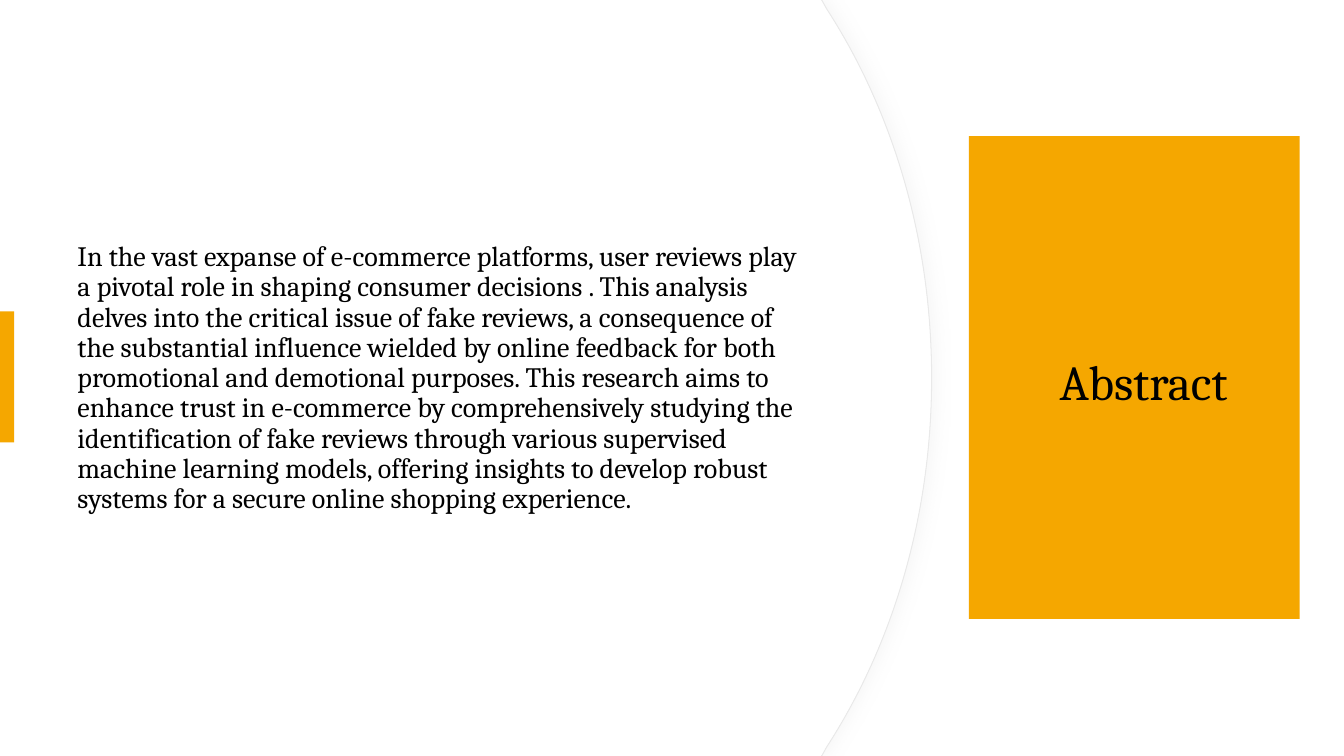
from lxml.etree import SubElement
from pptx import Presentation
from pptx.dml.color import RGBColor
from pptx.enum.shapes import MSO_SHAPE
from pptx.enum.text import MSO_ANCHOR, PP_ALIGN
from pptx.oxml.ns import qn
from pptx.util import Inches, Pt

AMBER = "F5A700"
ABSTRACT = (
    "In the vast expanse of e-commerce platforms, user reviews play a pivotal role "
    "in shaping consumer decisions . This analysis delves into the critical issue of "
    "fake reviews, a consequence of the substantial influence wielded by online "
    "feedback for both promotional and demotional purposes. This research aims to "
    "enhance trust in e-commerce by comprehensively studying the identification of "
    "fake reviews through various supervised machine learning models, offering "
    "insights to develop robust systems for a secure online shopping experience."
)


def color(value):
    return RGBColor.from_string(value)


def write(shape, text, size, spacing, left_inset=0.1):
    frame = shape.text_frame
    frame.word_wrap = True
    frame.vertical_anchor = MSO_ANCHOR.MIDDLE
    frame.margin_left = Inches(left_inset)
    paragraph = frame.paragraphs[0]
    paragraph.alignment = PP_ALIGN.LEFT
    paragraph.line_spacing = spacing
    run = paragraph.add_run()
    run.text = text
    run.font.name = "Cambria"
    run.font.size = Pt(size)
    run.font.color.rgb = color("000000")


def paint(shape, fill, line=None):
    shape.shadow.inherit = False
    shape.fill.solid()
    shape.fill.fore_color.rgb = color(fill)
    if line:
        shape.line.color.rgb = color(line)
        shape.line.width = Pt(0.75)
    else:
        shape.line.fill.background()


def add_block(slide, left, top, width, height):
    block = slide.shapes.add_shape(
        MSO_SHAPE.RECTANGLE, Inches(left), Inches(top), Inches(width), Inches(height)
    )
    paint(block, AMBER)
    return block


def bend(shape, starts):
    segments = list(shape._element.iter(qn("a:lnTo")))
    for start in starts:
        first, *others = segments[start:start + 3]
        first.tag = qn("a:cubicBezTo")
        for segment in others:
            first.append(segment[0])
            segment.getparent().remove(segment)


def add_curved_panel(slide, width, height, line=None):
    corner = width - 1.09
    upper = [(width - 1.04, 0.09), (width - 0.38, 1.11), (width, 2.38)]
    lower = [(x, height - y) for x, y in reversed(upper)]
    outline = [(corner, 0), *upper, (width, height / 2), *lower,
               (corner, height), (0, height)]
    builder = slide.shapes.build_freeform(0, 0)
    builder.add_line_segments([(Inches(x), Inches(y)) for x, y in outline], close=True)
    panel = builder.convert_to_shape()
    bend(panel, starts=(2, 5))
    paint(panel, "FFFFFF", line)
    return panel


def add_soft_shadow(shape):
    effects = shape._element.spPr.find(qn("a:effectLst"))
    shadow = SubElement(effects, qn("a:outerShdw"), blurRad=str(Pt(10)), dist=str(Pt(3)), dir="0")
    tone = SubElement(shadow, qn("a:srgbClr"), val="D9D9D9")
    SubElement(tone, qn("a:alpha"), val="20000")


def add_abstract(slide, left, top, width, height):
    body = slide.shapes.add_textbox(Inches(left), Inches(top), Inches(width), Inches(height))
    write(body, ABSTRACT, size=20, spacing=0.9)


def add_heading(slide, left, top, width, height):
    heading = add_block(slide, left, top, width, height)
    write(heading, "Abstract", size=35, spacing=1.1, left_inset=0.9)


def main():
    deck = Presentation()
    deck.slide_width, deck.slide_height = Inches(13.33), Inches(7.5)
    slide = deck.slides.add_slide(deck.slide_layouts[6])
    add_soft_shadow(add_curved_panel(slide, 9.24, 7.5, line="E9E9E9"))
    add_curved_panel(slide, 9.23, 7.5)
    add_abstract(slide, 0.67, 0.95, 7.5, 5.61)
    add_heading(slide, 9.61, 1.35, 3.28, 4.79)
    add_block(slide, 0, 3.09, 0.14, 1.3)
    deck.save("out.pptx")


if __name__ == "__main__":
    main()
